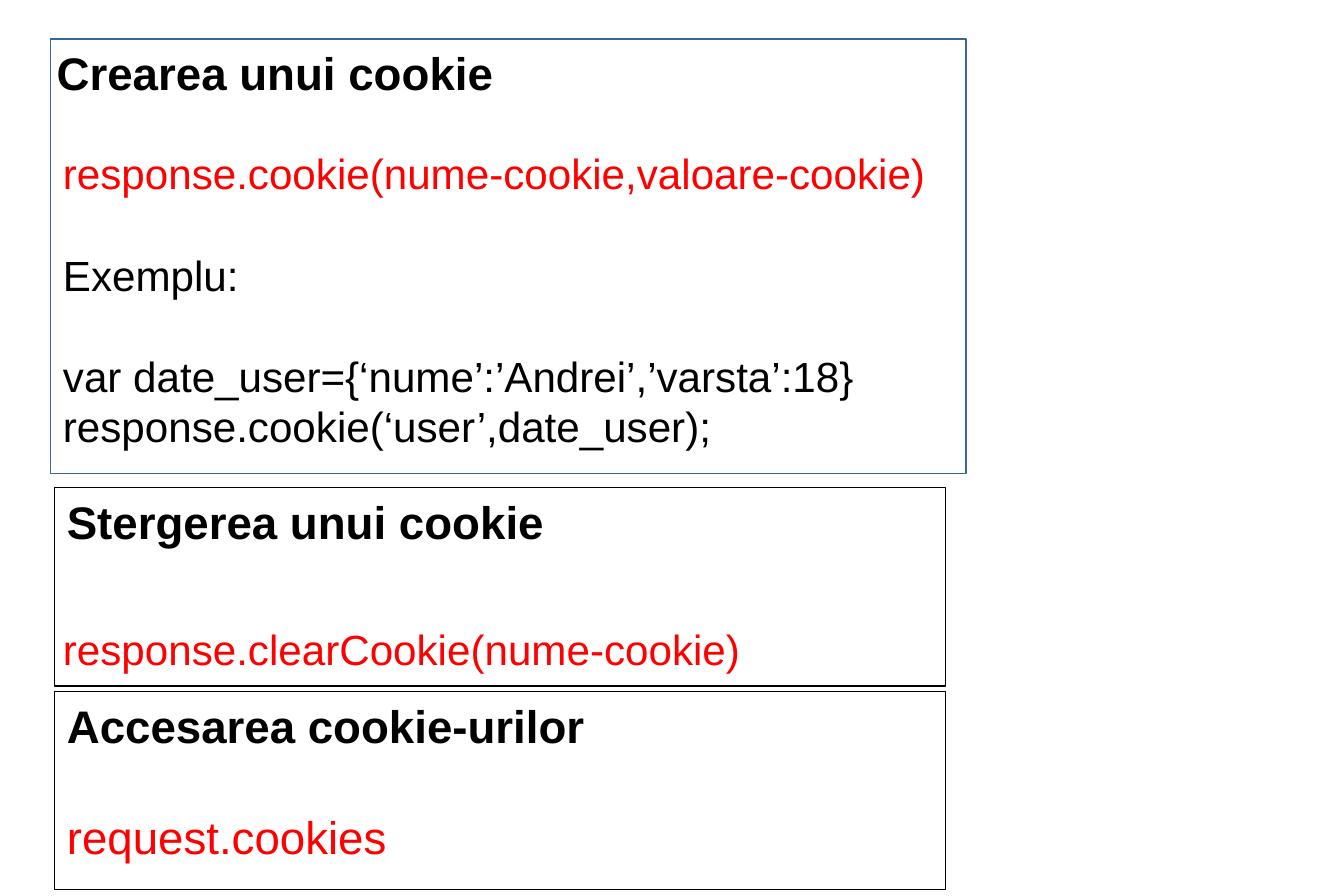
from dataclasses import dataclass

from pptx import Presentation
from pptx.dml.color import RGBColor
from pptx.enum.shapes import MSO_SHAPE
from pptx.enum.text import MSO_ANCHOR, PP_ALIGN
from pptx.util import Inches, Pt

RECT = MSO_SHAPE.RECTANGLE
TOP = MSO_ANCHOR.TOP
LEFT = PP_ALIGN.LEFT

BLACK = RGBColor(0x00, 0x00, 0x00)
RED = RGBColor(0xFF, 0x00, 0x00)
BLUE = RGBColor(0x34, 0x65, 0xA4)

FONT = "Arial"
HEADING_SIZE = 26
CODE_SIZE = 24
LINE_FACTOR = 1.2
CODE_GAP = 28.8
ACCESS_GAP = 32


@dataclass(frozen=True)
class Line:
    text: str
    size: int = CODE_SIZE
    color: RGBColor = BLACK
    bold: bool = False
    gap: float = 0


@dataclass(frozen=True)
class Box:
    left: float
    top: float
    width: float
    height: float
    lines: tuple[Line, ...]
    border: RGBColor | None = None
    inset_top: float = 0.05
    wrap: bool = True


def heading(text: str) -> Line:
    return Line(text, HEADING_SIZE, bold=True)


BOXES = (
    Box(0.35, 0.31, 3.66, 0.5, (heading("Crearea unui cookie"),), wrap=False),
    Box(0.4, 0.31, 7.24, 3.44, (
        Line("response.cookie(nume-cookie,valoare-cookie)", color=RED),
        Line("Exemplu:", gap=CODE_GAP),
        Line("var date_user={‘nume’:’Andrei’,’varsta’:18}", gap=CODE_GAP),
        Line("response.cookie(‘user’,date_user);"),
    ), BLUE, inset_top=0.86),
    Box(0.43, 3.86, 7.05, 1.57, (heading("Stergerea unui cookie"),), BLACK),
    Box(0.4, 4.88, 7.24, 0.55, (
        Line("response.clearCookie(nume-cookie)", color=RED),
    )),
    Box(0.43, 5.47, 7.05, 1.57, (
        heading("Accesarea cookie-urilor"),
        Line("request.cookies", HEADING_SIZE, RED, gap=ACCESS_GAP),
    ), BLACK),
)


def draw_box(slide, box: Box) -> None:
    area = [Inches(v) for v in (box.left, box.top, box.width, box.height)]
    if box.border is None:
        sp = slide.shapes.add_textbox(*area)
    else:
        sp = slide.shapes.add_shape(RECT, *area)
        sp.shadow.inherit = False
        sp.fill.background()
        sp.line.color.rgb = box.border
        sp.line.width = Pt(0)

    tf = sp.text_frame
    tf.word_wrap = box.wrap
    tf.vertical_anchor = TOP
    tf.margin_left = tf.margin_right = Inches(0.1)
    tf.margin_top = Inches(box.inset_top)
    tf.margin_bottom = Inches(0.05)
    for i, line in enumerate(box.lines):
        p = tf.add_paragraph() if i else tf.paragraphs[0]
        p.text = line.text
        p.alignment = LEFT
        p.line_spacing = Pt(line.size * LINE_FACTOR)
        p.space_before = Pt(line.gap)
        p.font.name = FONT
        p.font.size = Pt(line.size)
        p.font.bold = line.bold
        p.font.color.rgb = line.color


def main() -> None:
    prs = Presentation()
    prs.slide_width = Inches(10.63)
    prs.slide_height = Inches(7.09)
    slide = prs.slides.add_slide(prs.slide_layouts[6])
    for box in BOXES:
        draw_box(slide, box)
    prs.save("out.pptx")


if __name__ == "__main__":
    main()
